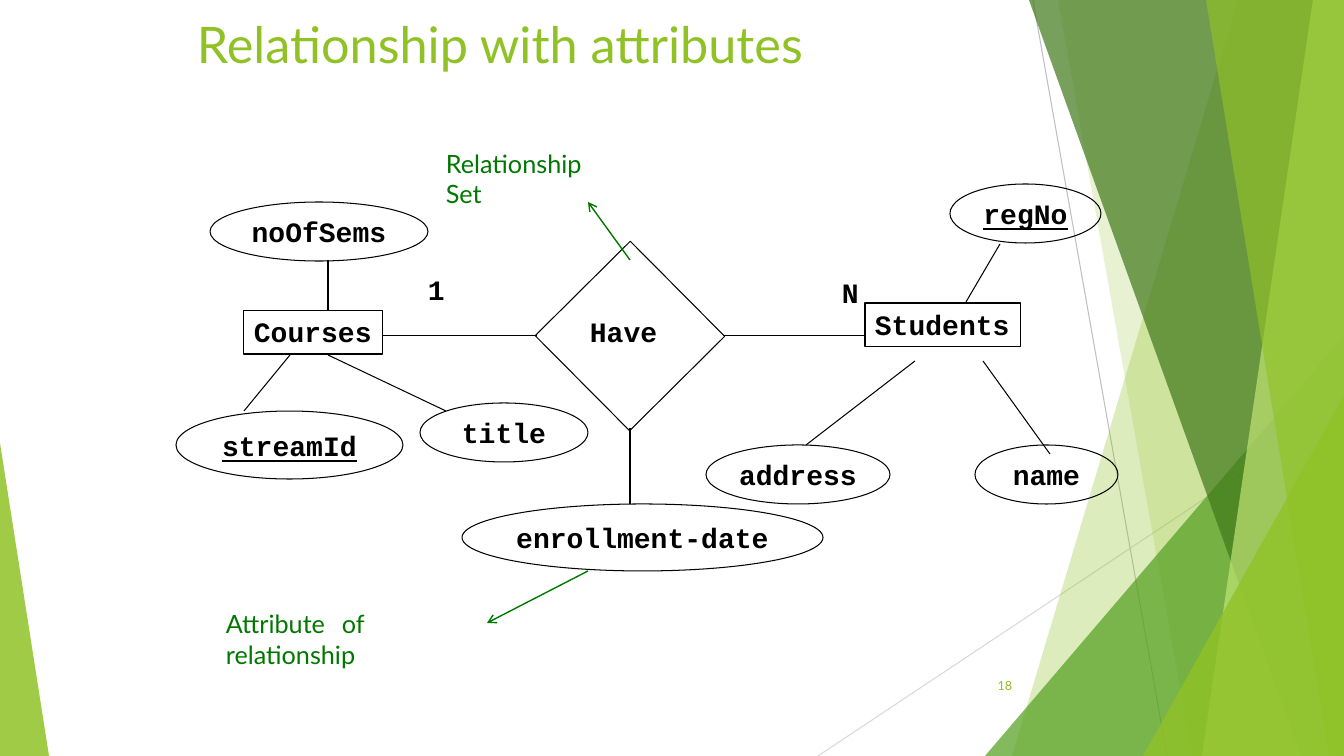
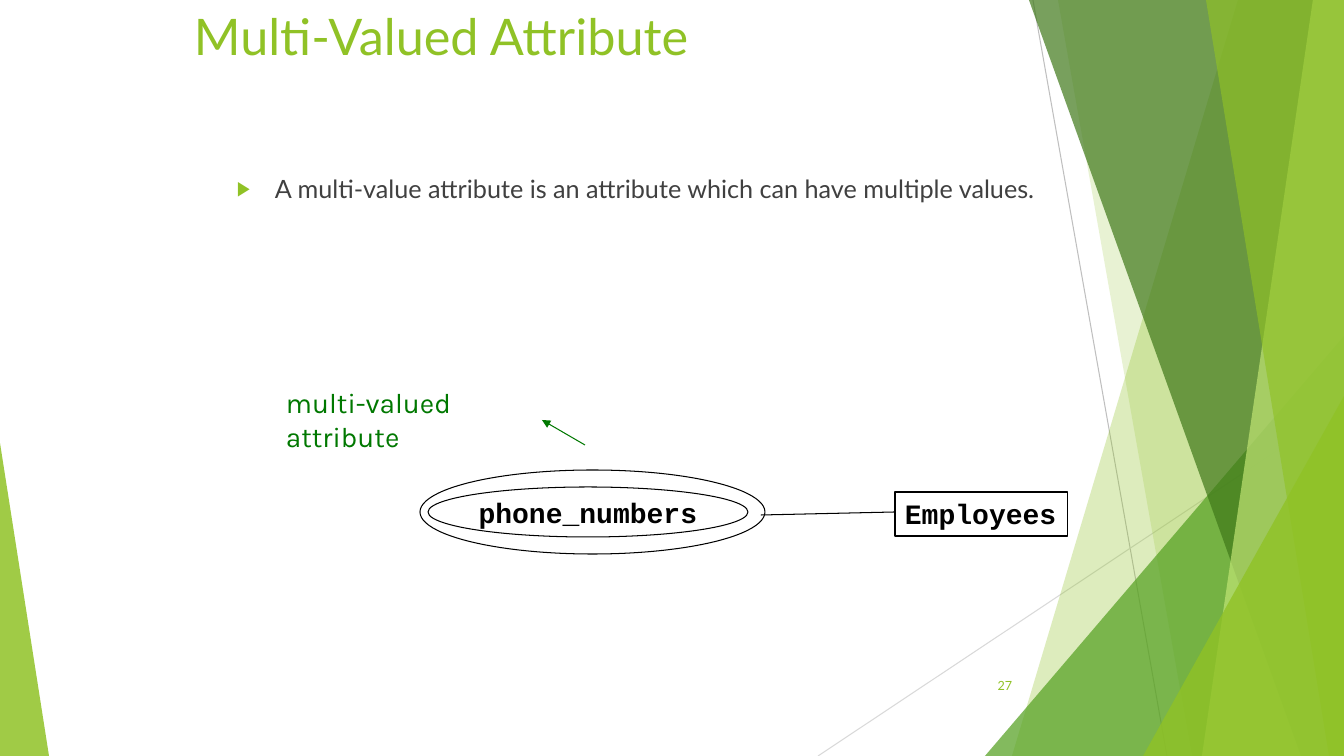
from lxml.etree import SubElement
from pptx import Presentation
from pptx.dml.color import RGBColor
from pptx.enum.shapes import MSO_CONNECTOR, MSO_SHAPE
from pptx.enum.text import MSO_ANCHOR, PP_ALIGN
from pptx.oxml.ns import qn
from pptx.util import Emu, Pt

SCALE = 914400 / 100.8
WIDTH, HEIGHT = 1344, 756
COLORS = {
    "lime": "90C226",
    "green": "54A021",
    "forest": "3F7819",
    "pale": "C0E474",
    "silver": "BFBFBF",
    "mist": "D9D9D9",
    "ink": "000000",
    "body": "404040",
    "note": "007800",
}
FORMATS = {
    "title": ("lime", {"name": "Lato", "size": Pt(36)}),
    "number": ("lime", {"name": "Lato", "size": Pt(9)}),
    "body": ("body", {"name": "Lato", "size": Pt(18)}),
    "note": ("note", {"name": "Lato", "size": Pt(18)}),
    "karla note": ("note", {"name": "Karla", "size": Pt(20)}),
    "entity": ("ink", {"name": "Courier New", "size": Pt(20), "bold": True}),
    "key": ("ink", {"name": "Courier New", "size": Pt(20), "bold": True, "underline": True}),
}


def px(value):
    return Emu(round(value * SCALE))


def color(name):
    return RGBColor.from_string(COLORS[name])


def write_text(shape, runs, align=PP_ALIGN.LEFT, anchor=MSO_ANCHOR.TOP, wrap=True):
    frame = shape.text_frame
    frame.word_wrap = wrap
    frame.vertical_anchor = anchor
    paragraph = frame.paragraphs[0]
    paragraph.alignment = align
    for text, style in runs:
        for index, line in enumerate(text.split("\n")):
            if index:
                paragraph.add_line_break()
            run = paragraph.add_run()
            run.text = line
            color_name, values = FORMATS[style]
            for attribute, value in values.items():
                setattr(run.font, attribute, value)
            run.font.color.rgb = color(color_name)
    return paragraph


def add_text(slide, box, runs, **options):
    shape = slide.shapes.add_textbox(*map(px, box))
    return write_text(shape, runs, **options)


def add_outline(slide, kind, box, rotation=0):
    shape = slide.shapes.add_shape(kind, *map(px, box))
    shape.shadow.inherit = False
    shape.rotation = rotation
    shape.fill.background()
    shape.line.color.rgb = color("ink")
    shape.line.width = Pt(0.75)
    return shape


def add_entity(slide, box, name):
    shape = add_outline(slide, MSO_SHAPE.RECTANGLE, box)
    write_text(shape, [(name, "entity")], wrap=False)


def add_attribute(slide, box, name, style="entity"):
    shape = add_outline(slide, MSO_SHAPE.OVAL, box)
    write_text(shape, [(name, style)], PP_ALIGN.CENTER, MSO_ANCHOR.MIDDLE, False)


def add_line(slide, points, color_name="ink", width=0.75, arrow=None):
    connector = slide.shapes.add_connector(MSO_CONNECTOR.STRAIGHT, *map(px, points))
    connector.line.color.rgb = color(color_name)
    connector.line.width = Pt(width)
    if arrow:
        SubElement(connector.line._get_or_add_ln(), qn("a:tailEnd"), type=arrow)
    SubElement(connector.element.spPr, qn("a:effectLst"))


def tint(shape, color_name, opacity):
    shape.shadow.inherit = False
    shape.fill.solid()
    shape.fill.fore_color.rgb = color(color_name)
    solid = shape.element.spPr.find(".//" + qn("a:srgbClr"))
    SubElement(solid, qn("a:alpha"), val=str(opacity * 1000))
    shape.line.fill.background()


def add_band(slide, top_x, bottom_x, color_name, opacity):
    builder = slide.shapes.build_freeform(top_x, 0, SCALE)
    builder.add_line_segments([(WIDTH, 0), (WIDTH, HEIGHT), (bottom_x, HEIGHT)], close=True)
    tint(builder.convert_to_shape(), color_name, opacity)


def add_wedge(slide, left, top, width, apex, color_name, opacity):
    box = (left, top, width, HEIGHT - top)
    shape = slide.shapes.add_shape(MSO_SHAPE.ISOSCELES_TRIANGLE, *map(px, box))
    shape.adjustments[0] = apex
    tint(shape, color_name, opacity)


def add_backdrop(slide):
    add_line(slide, (1033, 0, 1167, HEIGHT), "silver")
    add_line(slide, (WIDTH, 406, 818, HEIGHT), "mist")
    add_band(slide, 1238, 1012, "lime", 30)
    add_band(slide, 1058, 1192, "lime", 20)
    add_wedge(slide, 985, 336, 359, 1, "green", 72)
    add_band(slide, 1029, 1301, "forest", 70)
    add_band(slide, 1313, 1202, "pale", 70)
    add_band(slide, 1206, 1329, "lime", 65)
    add_wedge(slide, 1143, 396, 201, 1, "lime", 80)
    add_wedge(slide, 0, 443, 49, 0, "lime", 85)


def move_to_layout(slide, layout):
    tree = layout.shapes.element
    for placeholder in list(layout.placeholders):
        tree.remove(placeholder.element)
    for shape in list(slide.shapes):
        tree.append(shape.element)


def add_heading(slide, box, title, number):
    add_text(slide, box, [(title, "title")])
    add_text(slide, (946, 666, 76, 40), [(number, "number")],
             align=PP_ALIGN.RIGHT, anchor=MSO_ANCHOR.MIDDLE)


def add_bullet(slide, box, text):
    paragraph = add_text(slide, box, [(text, "body")])
    properties = paragraph._p.get_or_add_pPr()
    indent = px(38)
    properties.set("marL", str(indent))
    properties.set("indent", str(-indent))
    bullet_color = SubElement(properties, qn("a:buClr"))
    SubElement(bullet_color, qn("a:srgbClr"), val=COLORS["lime"])
    SubElement(properties, qn("a:buSzPct"), val="80000")
    SubElement(properties, qn("a:buFont"), typeface="Arial")
    SubElement(properties, qn("a:buChar"), char="▶")


def fill_relationship_slide(slide):
    add_heading(slide, (187, 8, 857, 84), "Relationship with attributes", "18")
    add_entity(slide, (244, 310, 139, 44), "Courses")
    add_entity(slide, (865, 303, 156, 44), "Students")
    add_outline(slide, MSO_SHAPE.RECTANGLE, (563, 269, 134, 134), 45.2)
    for box, text in (
        ((580, 310, 89, 44), "Have"),
        ((418, 268, 37, 44), "1"),
        ((832, 271, 37, 44), "N"),
    ):
        add_text(slide, box, [(text, "entity")], wrap=False)
    for box, name, style in (
        ((950, 184, 151, 59), "regNo", "key"),
        ((975, 445, 143, 59), "name", "entity"),
        ((706, 445, 184, 59), "address", "entity"),
        ((176, 411, 227, 68), "streamId", "key"),
        ((420, 403, 168, 59), "title", "entity"),
        ((210, 202, 218, 59), "noOfSems", "entity"),
        ((462, 504, 361, 67), "enrollment-date", "entity"),
    ):
        add_attribute(slide, box, name, style)
    for points in (
        (383, 336, 537, 336),
        (723, 336, 865, 336),
        (290, 355, 244, 411),
        (328, 355, 446, 411),
        (328, 310, 328, 260),
        (966, 302, 1000, 244),
        (915, 361, 806, 445),
        (983, 361, 1050, 454),
        (630, 428, 630, 504),
    ):
        add_line(slide, points)
    add_text(slide, (436, 143, 185, 70), [("Relationship\nSet", "note")])
    add_text(slide, (216, 601, 276, 70),
             [("Attribute", "note"), (" ", "entity"), ("of\nrelationship", "note")])
    for points in ((630, 260, 588, 202), (588, 571, 487, 623)):
        add_line(slide, points, "note", 1, "arrow")


def fill_multi_valued_slide(slide):
    add_heading(slide, (184, 0, 907, 92), "Multi-Valued Attribute", "27")
    add_bullet(slide, (227, 168, 857, 118),
               "A multi-value attribute is an attribute which can have multiple values.")
    add_attribute(slide, (428, 487, 320, 50), "phone_numbers")
    add_outline(slide, MSO_SHAPE.OVAL, (420, 470, 345, 84))
    add_entity(slide, (895, 492, 173, 44), "Employees")
    add_line(slide, (761, 515, 895, 512))
    add_text(slide, (276, 381, 288, 76), [("multi-valued\nattribute", "karla note")])
    add_line(slide, (585, 445, 542, 420), "note", 0.75, "triangle")


def main():
    presentation = Presentation()
    presentation.slide_width = px(WIDTH)
    presentation.slide_height = px(HEIGHT)
    layout = presentation.slide_layouts[6]
    relationship, multi_valued = [presentation.slides.add_slide(layout) for _ in range(2)]
    add_backdrop(relationship)
    move_to_layout(relationship, layout)
    fill_relationship_slide(relationship)
    fill_multi_valued_slide(multi_valued)
    presentation.save("out.pptx")


main()
